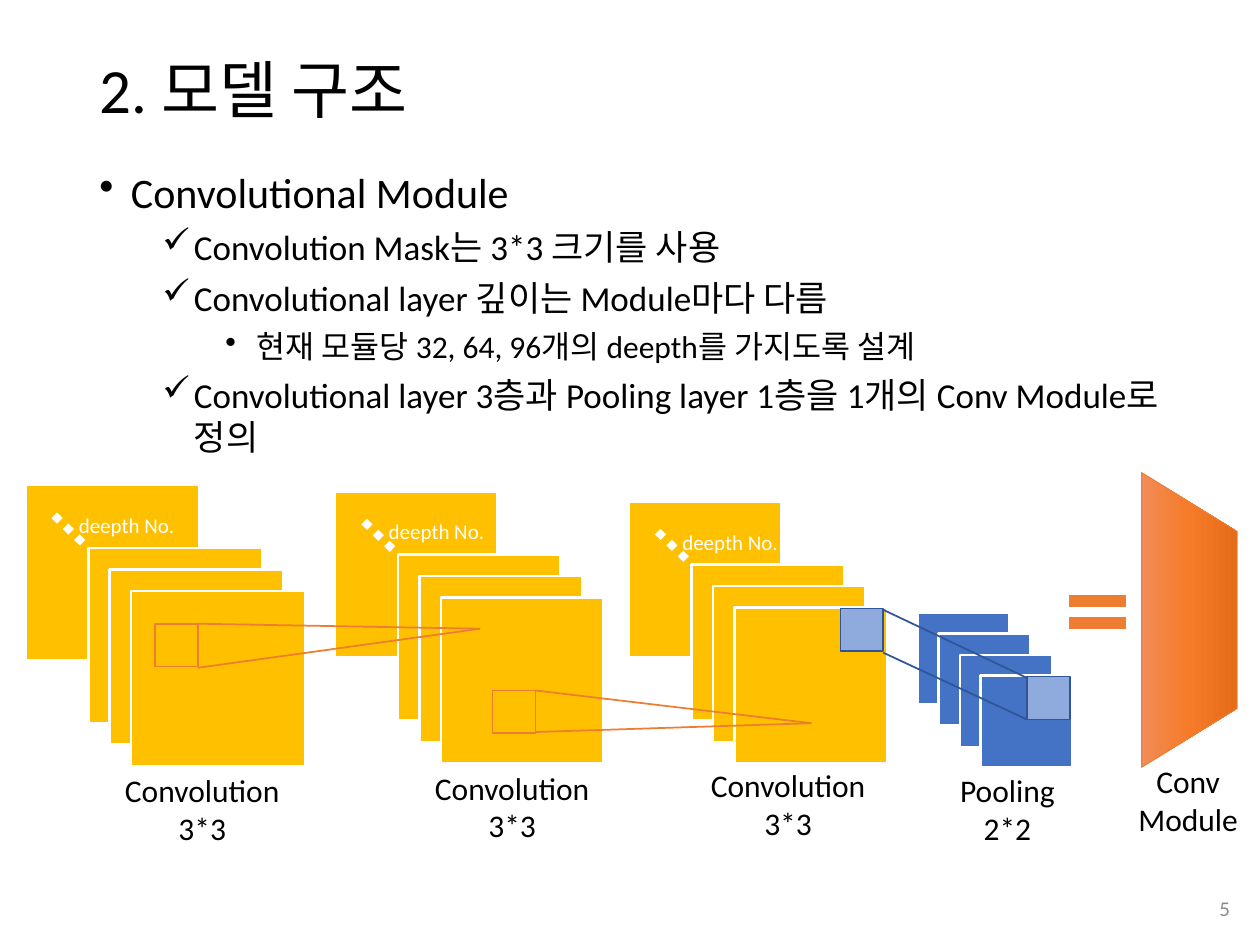
from lxml import etree
from pptx import Presentation
from pptx import util as u
from pptx.dml.color import RGBColor
from pptx.enum import dml, shapes, text
from pptx.oxml import parse_xml
from pptx.oxml.ns import nsdecls, qn

BLACK = RGBColor(0x00, 0x00, 0x00)
WHITE = RGBColor(0xFF, 0xFF, 0xFF)
GREY = RGBColor(0x8C, 0x8C, 0x8C)
GOLD = RGBColor(0xFF, 0xC0, 0x00)
ORANGE = RGBColor(0xED, 0x7D, 0x31)
BLUE = RGBColor(0x44, 0x72, 0xC4)
LIGHT_BLUE = RGBColor(0x8F, 0xAA, 0xDC)
DARK_BLUE = RGBColor(0x2F, 0x55, 0x97)

KIND = shapes.MSO_SHAPE
ALIGN = text.PP_ALIGN
ANCHOR = text.MSO_ANCHOR


class Canvas:
    font = "Calibri"

    def __init__(self, page):
        self.page = page

    def label(self, x, y, w, h, lines, size=18, color=BLACK, align=ALIGN.LEFT,
              anchor=ANCHOR.TOP, **spacing):
        """Text box; each line is a string or (string, bullet style)."""
        box = self.page.shapes.add_textbox(*map(u.Inches, (x, y, w, h)))
        frame = box.text_frame
        frame.word_wrap = True
        frame.vertical_anchor = anchor
        for i, line in enumerate(lines):
            para = frame.paragraphs[0] if i == 0 else frame.add_paragraph()
            words, style = line if isinstance(line, tuple) else (line, None)
            para.alignment = align
            for name, value in spacing.items():
                setattr(para, name, value)
            span = para.add_run()
            span.text = words
            look = {"name": self.font, "size": u.Pt(style["size"] if style else size)}
            for name, value in look.items():
                setattr(span.font, name, value)
            span.font.color.rgb = color
            if style:
                self.bullet(para, style)
        return box

    def bullet(self, para, style):
        para.level = style["level"]
        para.space_before = u.Pt(style["before"])
        props = para._p.get_or_add_pPr()
        props.set("marL", str(u.Inches(style["indent"])))
        props.set("indent", str(u.Inches(-0.25)))
        etree.SubElement(props, qn("a:buChar")).set("char", style["char"])

    def shape(self, kind, x, y, w, h, fill=None, line=WHITE, width=1.5):
        shape = self.page.shapes.add_shape(kind, *map(u.Inches, (x, y, w, h)))
        shape.shadow.inherit = False
        if fill is None:
            shape.fill.background()
        else:
            shape.fill.solid()
            shape.fill.fore_color.rgb = fill
        shape.line.color.rgb = line
        shape.line.width = u.Pt(width)
        return shape

    def stack(self, x, y, w, h, offsets, fill):
        for step in offsets:
            self.shape(KIND.RECTANGLE, x + step, y + step, w, h, fill)

    def mask(self, x, y, fill=None, line=ORANGE):
        self.shape(KIND.RECTANGLE, x, y, 0.34, 0.34, fill, line, 1)

    def line(self, start, end, color, width=1, dash=None):
        line = self.page.shapes.add_connector(
            shapes.MSO_CONNECTOR.STRAIGHT, *map(u.Inches, (*start, *end)))
        line.line.color.rgb = color
        line.line.width = u.Pt(width)
        if dash:
            line.line.dash_style = dash
        etree.SubElement(line._element.spPr, qn("a:effectLst"))

    def gradient(self, shape, stops, angle):
        """Replace the solid fill with a linear gradient."""
        marks = "".join(f'<a:gs pos="{pos * 1000}"><a:srgbClr val="{color}"/></a:gs>'
                        for pos, color in stops)
        fill = parse_xml(f'<a:gradFill {nsdecls("a")} rotWithShape="1"><a:gsLst>{marks}'
                         f'</a:gsLst><a:lin ang="{angle * 60000}" scaled="0"/></a:gradFill>')
        props = shape._element.spPr
        props.replace(props.find(qn("a:solidFill")), fill)


deck = Presentation()
deck.slide_width, deck.slide_height = u.Inches(10), u.Inches(7.5)
canvas = Canvas(deck.slides.add_slide(deck.slide_layouts[6]))

# Title, bullets and page number
canvas.label(0.69, 0.29, 8.62, 0.89, ["2. 모델 구조"], 36,
             anchor=ANCHOR.MIDDLE, line_spacing=0.9)
TOPIC = dict(level=0, indent=0.25, before=10, char="•", size=24)
CHECK = dict(level=1, indent=0.75, before=5, char="✓", size=20)
DETAIL = dict(level=2, indent=1.25, before=5, char="•", size=18)
canvas.label(0.69, 1.27, 8.62, 5.63, [
    ("Convolutional Module", TOPIC),
    ("Convolution Mask는 3*3 크기를 사용", CHECK),
    ("Convolutional layer 깊이는 Module마다 다름", CHECK),
    ("현재 모듈당 32, 64, 96개의 deepth를 가지도록 설계", DETAIL),
    ("Convolutional layer 3층과 Pooling layer 1층을 1개의 Conv Module로 정의", CHECK),
])
canvas.label(7.61, 7.01, 2.25, 0.4, ["5"], 12, GREY, ALIGN.RIGHT, ANCHOR.MIDDLE)

# Convolution layers: stack of maps, dotted depth mark, depth label
for x, y, w, h in [(0.2, 3.85, 1.38, 1.39), (2.66, 3.9, 1.29, 1.32),
                   (4.99, 3.98, 1.21, 1.24)]:
    canvas.stack(x, y, w, h, (0, 0.5, 0.67, 0.84), GOLD)
    canvas.line((x + 0.23, y + 0.24), (x + 0.5, y + 0.5), WHITE, 4.5,
                dml.MSO_LINE.ROUND_DOT)
    canvas.label(x - 0.01, y + 0.17, 1.63, 0.3, ["deepth No."], 12, WHITE, ALIGN.CENTER)

# Pooling layer
canvas.stack(7.28, 4.86, 0.73, 0.73, (0, 0.17, 0.34, 0.5), BLUE)

# Masks and the lines that project them onto the next layer
canvas.mask(1.23, 4.95)
canvas.mask(3.91, 5.48)
canvas.mask(6.67, 4.83, LIGHT_BLUE, DARK_BLUE)
for start, end, color in [
    ((1.57, 4.95), (3.81, 4.99), ORANGE), ((1.57, 5.3), (3.81, 4.99), ORANGE),
    ((4.25, 5.48), (6.44, 5.74), ORANGE), ((4.25, 5.81), (6.44, 5.74), ORANGE),
    ((7.01, 4.84), (8.15, 5.38), DARK_BLUE), ((7.01, 5.18), (8.15, 5.71), DARK_BLUE),
]:
    canvas.line(start, end, color)
canvas.mask(8.15, 5.37, LIGHT_BLUE, DARK_BLUE)

# Resulting module
module = canvas.shape(KIND.FLOWCHART_MANUAL_OPERATION, 8.27, 4.54, 2.34, 0.76,
                      ORANGE, ORANGE, 0.5)
module.rotation = 270
canvas.gradient(module, [(0, "F18C57"), (50, "F67B28"), (100, "E56C19")], 90)
canvas.shape(KIND.MATH_EQUAL, 8.39, 4.61, 0.64, 0.49, ORANGE)

# Captions
for x, y, w, lines in [
    (0.79, 6.07, 1.63, ["Convolution", "3*3"]),
    (3.25, 6.05, 1.63, ["Convolution", "3*3"]),
    (5.44, 6.03, 1.63, ["Convolution", "3*3"]),
    (7.3, 6.07, 1.39, ["Pooling", "2*2"]),
    (8.85, 6, 1.16, ["Conv Module"]),
]:
    canvas.label(x, y, w, 0.71, lines, align=ALIGN.CENTER)

deck.save("out.pptx")
